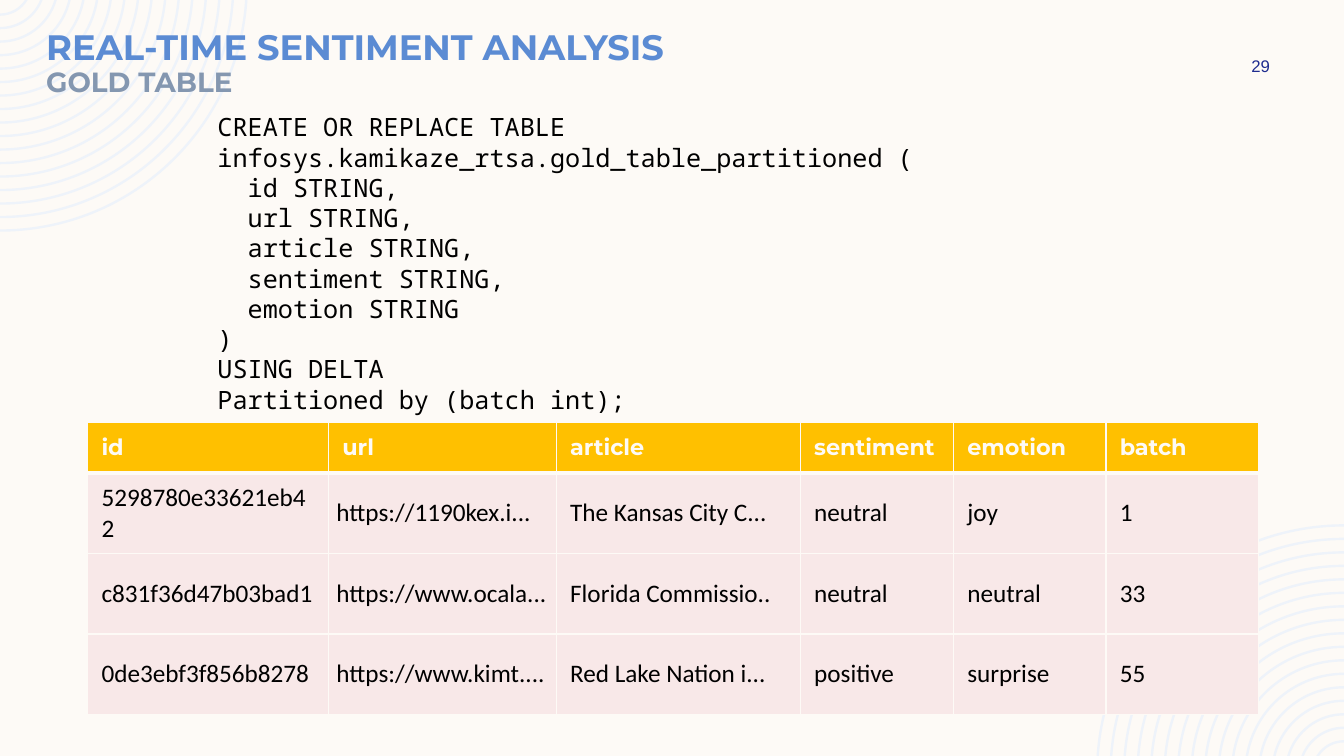
import math
from dataclasses import dataclass

from lxml import etree
from pptx import Presentation
from pptx.dml.color import RGBColor
from pptx.enum.text import MSO_ANCHOR, MSO_AUTO_SIZE, PP_ALIGN
from pptx.oxml.ns import qn
from pptx.util import Cm, Pt

TOP, MIDDLE = MSO_ANCHOR.TOP, MSO_ANCHOR.MIDDLE
LEFT, CENTER = PP_ALIGN.LEFT, PP_ALIGN.CENTER
FIXED_SIZE = MSO_AUTO_SIZE.NONE

PAGE_WIDTH, PAGE_HEIGHT = 33.87, 19.05
CREAM, RING_BLUE = "FDFAF6", "EEF3FA"
GOLD, BLUSH, BLACK = "FFC000", "F8E8E8", "000000"

# Concentric rings, in centimetres; the centre lies just outside the page
RING_COUNT, RING_STEP, RING_WIDTH = 17, 0.34, 0.06
OUTER_RADIUS, CENTRE_OFFSET = 6.25, 0.41

CODE = """CREATE OR REPLACE TABLE infosys.kamikaze_rtsa.gold_table_partitioned (
  id STRING,
  url STRING,
  article STRING,
  sentiment STRING,
  emotion STRING
)
USING DELTA
Partitioned by (batch int);"""


@dataclass(frozen=True)
class Column:
    heading: str
    width: float
    values: tuple[str, str, str]
    side_inset: float = 0.35
    end_inset: float = 0.18


COLUMNS = [
    Column("id", 6.07, ("5298780e33621eb42", "c831f36d47b03bad1", "0de3ebf3f856b8278")),
    Column("url", 5.74, ("https://1190kex.i...", "https://www.ocala...",
                         "https://www.kimt...."), 0.2, 0.2),
    Column("article", 6.15, ("The Kansas City C...", "Florida Commissio..",
                             "Red Lake Nation i...")),
    Column("sentiment", 3.86, ("neutral", "neutral", "positive")),
    Column("emotion", 3.84, ("joy", "neutral", "surprise")),
    Column("batch", 3.84, ("1", "33", "55")),
]
ROW_HEIGHTS = [1.27, 2.03, 2.03, 2.03]


def colour(value: str) -> RGBColor:
    return RGBColor.from_string(value)


def add_span(para, text: str, *, font: str, size: float, color: str,
             bold: bool = False) -> None:
    span = para.add_run()
    span.text = text
    span.font.name = font
    span.font.size = Pt(size)
    span.font.bold = bold
    span.font.color.rgb = colour(color)


def add_text(page, text: str, left: float, top: float, width: float, height: float, *,
             font: str, size: float, color: str, align=LEFT, anchor=TOP) -> None:
    box = page.shapes.add_textbox(Cm(left), Cm(top), Cm(width), Cm(height))
    frame = box.text_frame
    frame.word_wrap = True
    frame.vertical_anchor = anchor
    for index, line in enumerate(text.split("\n")):
        para = frame.add_paragraph() if index else frame.paragraphs[0]
        para.alignment = align
        add_span(para, line, font=font, size=size, color=color)


def ring_edge(radius: float) -> list[tuple[float, float]]:
    """Start, two control points and end of the arc from the top to the left side."""
    start = math.asin(CENTRE_OFFSET / radius)
    reach = radius * 4 / 3 * math.tan((math.pi / 2 - start) / 4)
    x, y = radius * math.cos(start), 0.0
    end_y = radius - CENTRE_OFFSET
    return [(x, y),
            (x - reach * math.sin(start), y + reach * math.cos(start)),
            (reach, end_y),
            (0.0, end_y)]


def add_corner_rings(page, bottom_right: bool) -> None:
    def place(point: tuple[float, float]) -> tuple[int, int]:
        x, y = point
        if bottom_right:
            x, y = PAGE_WIDTH - x, PAGE_HEIGHT - y
        return Cm(x), Cm(y)

    builder = None
    controls = []
    for index in range(RING_COUNT):
        radius = OUTER_RADIUS - index * RING_STEP
        outline = ring_edge(radius) + ring_edge(radius - RING_WIDTH)[::-1]
        start, bend_1, bend_2, end, back, bend_3, bend_4, last = map(place, outline)
        if builder is None:
            builder = page.shapes.build_freeform(*start)
        else:
            builder.move_to(*start)
        builder.add_line_segments([end, back, last], close=True)
        controls += [(bend_1, bend_2), (), (bend_3, bend_4)]
    rings = builder.convert_to_shape()

    # Bend the two long sides of each ring into curves
    sides = list(rings._element.iter(qn("a:lnTo")))
    for side, bends in zip(sides, controls):
        if bends:
            side.tag = qn("a:cubicBezTo")
        for position, (x, y) in enumerate(bends):
            point = etree.Element(qn("a:pt"), x=str(x - rings.left), y=str(y - rings.top))
            side.insert(position, point)

    rings.shadow.inherit = False
    rings.fill.solid()
    rings.fill.fore_color.rgb = colour(RING_BLUE)
    rings.line.fill.background()


def set_borders(cell, top: float, bottom: float) -> None:
    properties = cell._tc.get_or_add_tcPr()
    widths = {"a:lnL": 1, "a:lnR": 1, "a:lnT": top, "a:lnB": bottom}
    for position, (tag, width) in enumerate(widths.items()):
        line = etree.Element(qn(tag), w=str(Pt(width)))
        fill = etree.SubElement(line, qn("a:solidFill"))
        etree.SubElement(fill, qn("a:srgbClr"), val=CREAM)
        properties.insert(position, line)


def fill_cell(cell, text: str, fill: str, side: float, end: float, **text_format) -> None:
    cell.fill.solid()
    cell.fill.fore_color.rgb = colour(fill)
    cell.vertical_anchor = MIDDLE
    cell.margin_left = cell.margin_right = Cm(side)
    cell.margin_top = cell.margin_bottom = Cm(end)
    add_span(cell.text_frame.paragraphs[0], text, **text_format)


def add_gold_table(page) -> None:
    width = sum(column.width for column in COLUMNS)
    table = page.shapes.add_table(len(ROW_HEIGHTS), len(COLUMNS), Cm(2.21), Cm(10.65),
                                  Cm(width), Cm(sum(ROW_HEIGHTS))).table
    table.horz_banding = False
    for row, height in zip(table.rows, ROW_HEIGHTS):
        row.height = Cm(height)
    for column_index, column in enumerate(COLUMNS):
        table.columns[column_index].width = Cm(column.width)
        heading = table.cell(0, column_index)
        fill_cell(heading, column.heading, GOLD, 0.35, 0.18,
                  font="Montserrat", size=16, color=CREAM, bold=True)
        set_borders(heading, top=1, bottom=3)
        for row_index, value in enumerate(column.values, start=1):
            cell = table.cell(row_index, column_index)
            fill_cell(cell, value, BLUSH, column.side_inset, column.end_inset,
                      font="Calibri", size=18, color=BLACK)
            set_borders(cell, top=3 if row_index == 1 else 1, bottom=1)


def format_title(page) -> None:
    title = page.shapes.title
    title.left, title.top, title.width, title.height = Cm(0.91), Cm(0.64), Cm(29.67), Cm(2.13)
    frame = title.text_frame
    frame.word_wrap = True
    frame.auto_size = FIXED_SIZE
    frame.vertical_anchor = TOP
    para = frame.paragraphs[0]
    para.alignment = LEFT
    para.line_spacing = 0.9
    add_span(para, "REAL-TIME SENTIMENT ANALYSIS", font="Montserrat", size=25.2,
             color="5B8BD3", bold=True)
    para.add_line_break()
    add_span(para, "GOLD TABLE", font="Montserrat", size=19.8, color="8497B0", bold=True)
    # Bring the title above the rings
    page.shapes._spTree.append(title._element)


def main() -> None:
    deck = Presentation()
    deck.slide_width, deck.slide_height = Cm(PAGE_WIDTH), Cm(PAGE_HEIGHT)
    page = deck.slides.add_slide(deck.slide_layouts[5])

    # Background and corner rings
    page.background.fill.solid()
    page.background.fill.fore_color.rgb = colour(CREAM)
    for bottom_right in (False, True):
        add_corner_rings(page, bottom_right)

    # Title, page number and table definition
    format_title(page)
    add_text(page, "29", 30.4, 1.27, 2.74, 0.76, font="Arial", size=12,
             color="1F2C8F", align=CENTER, anchor=MIDDLE)
    add_text(page, CODE, 5.23, 2.69, 24.51, 7.95, font="Noto Sans Mono", size=18,
             color=BLACK)

    # Sample rows
    add_gold_table(page)
    deck.save("out.pptx")


if __name__ == "__main__":
    main()
